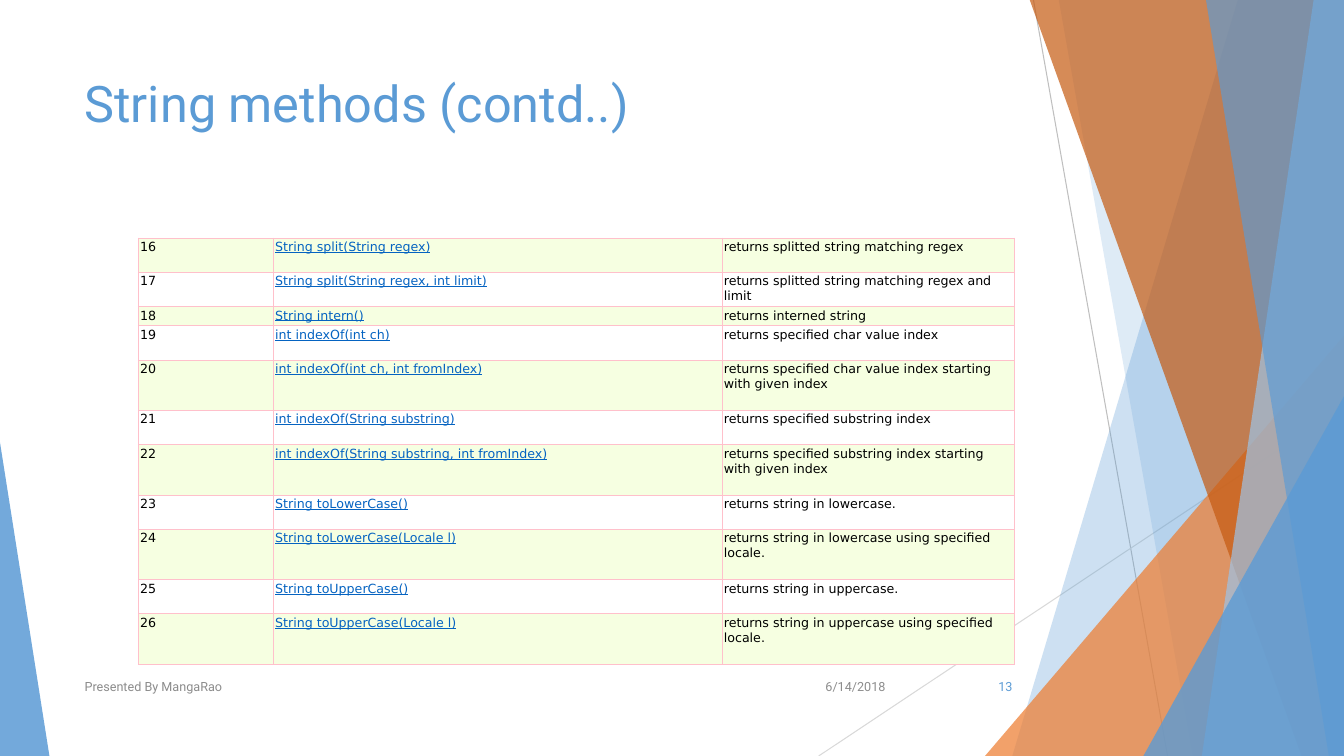
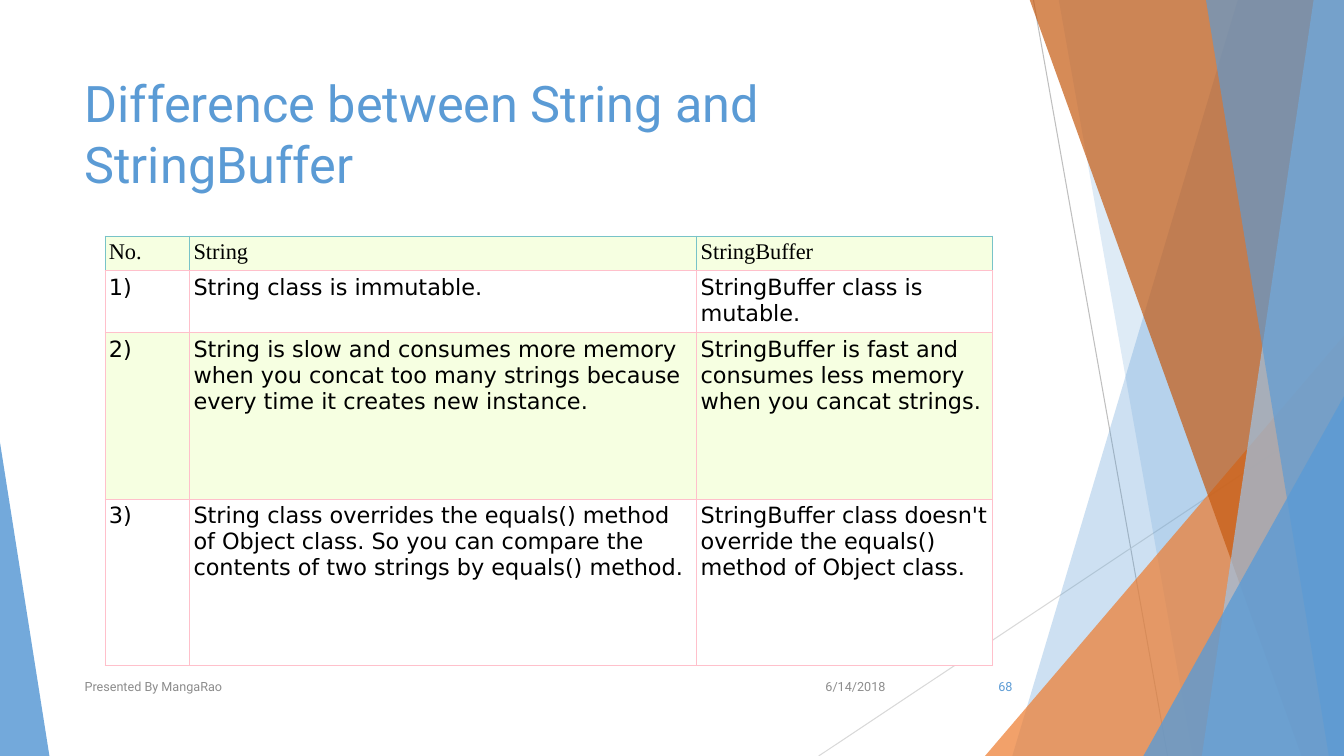
from lxml import etree
from pptx import Presentation
from pptx.dml.color import RGBColor
from pptx.enum.shapes import MSO_CONNECTOR, MSO_SHAPE
from pptx.enum.text import MSO_ANCHOR, PP_ALIGN
from pptx.oxml.ns import qn
from pptx.util import Inches, Pt

WIDTH, HEIGHT = 13.33, 7.5
COLORS = {
    "blue": "5B9BD5", "light blue": "9DC3E6", "orange": "ED7D31", "rust": "C55A11",
    "grey line": "BFBFBF", "pale line": "D9D9D9", "footer": "8C8C8C",
    "black": "000000", "white": "FFFFFF", "link": "0563C1",
    "lime": "F6FFE1", "pink": "FFC0CB", "teal": "78C3C8",
}
HEADING_FONT, BODY_FONT, HEADER_FONT = "Roboto", "DejaVu Sans", "Times New Roman"

LINES = [
    ((10.25, 0), (11.58, HEIGHT), "grey line"),
    ((WIDTH, 4.03), (8.12, HEIGHT), "pale line"),
]
BANDS = [
    ("strip", (12.28, 10.04), "blue", 30),
    ("strip", (10.5, 11.83), "blue", 20),
    ("triangle", (9.77, 3.33, 3.56, 1), "orange", 72),
    ("strip", (10.21, 12.91), "rust", 70),
    ("strip", (13.03, 11.92), "light blue", 70),
    ("strip", (11.96, 13.18), "blue", 65),
    ("triangle", (11.34, 3.93, 1.99, 1), "blue", 80),
    ("triangle", (0, 4.39, 0.49, 0), "blue", 85),
]

SLIDES = [
    {
        "title": "String methods (contd..)",
        "number": "13",
        "place": (1.37, 2.36),
        "columns": [1.34, 4.45, 2.9],
        "heights": [0.34, 0.34, 0.19, 0.34, 0.5, 0.34, 0.5, 0.34, 0.5, 0.34, 0.5],
        "size": 9,
        "margin": 0.02,
        "header": False,
        "link_column": 1,
        "rows": [
            ("16", "String split(String regex)", "returns splitted string matching regex"),
            ("17", "String split(String regex, int limit)",
             "returns splitted string matching regex and limit"),
            ("18", "String intern()", "returns interned string"),
            ("19", "int indexOf(int ch)", "returns specified char value index"),
            ("20", "int indexOf(int ch, int fromIndex)",
             "returns specified char value index starting with given index"),
            ("21", "int indexOf(String substring)", "returns specified substring index"),
            ("22", "int indexOf(String substring, int fromIndex)",
             "returns specified substring index starting with given index"),
            ("23", "String toLowerCase()", "returns string in lowercase."),
            ("24", "String toLowerCase(Locale l)",
             "returns string in lowercase using specified locale."),
            ("25", "String toUpperCase()", "returns string in uppercase."),
            ("26", "String toUpperCase(Locale l)",
             "returns string in uppercase using specified locale."),
        ],
    },
    {
        "title": "Difference between String and StringBuffer",
        "number": "68",
        "place": (1.04, 2.34),
        "columns": [0.84, 5.03, 2.93],
        "heights": [0.34, 0.6, 1.65, 1.65],
        "size": 16,
        "margin": 0.04,
        "header": True,
        "link_column": None,
        "rows": [
            ("No.", "String", "StringBuffer"),
            ("1)", "String class is immutable.", "StringBuffer class is mutable."),
            ("2)", "String is slow and consumes more memory when you concat too many strings "
                   "because every time it creates new instance.",
             "StringBuffer is fast and consumes less memory when you cancat strings."),
            ("3)", "String class overrides the equals() method of Object class. So you can "
                   "compare the contents of two strings by equals() method.",
             "StringBuffer class doesn't override the equals() method of Object class."),
        ],
    },
]


def rgb(name):
    return RGBColor.from_string(COLORS[name])


def add_run(paragraph, text, size, font, color, underline=False):
    run = paragraph.add_run()
    run.text = text
    run.font.size = Pt(size)
    run.font.name = font
    run.font.color.rgb = rgb(color)
    if underline:
        run.font.underline = True


def add_text(slide, box, text, size, color, align=PP_ALIGN.LEFT, anchor=MSO_ANCHOR.MIDDLE):
    frame = slide.shapes.add_textbox(*map(Inches, box)).text_frame
    frame.word_wrap = True
    frame.vertical_anchor = anchor
    paragraph = frame.paragraphs[0]
    paragraph.alignment = align
    add_run(paragraph, text, size, HEADING_FONT, color)


def add_strip(slide, top_x, bottom_x):
    top = Inches(-0.01)
    right, bottom = Inches(WIDTH), Inches(HEIGHT)
    builder = slide.shapes.build_freeform(Inches(top_x), top)
    builder.add_line_segments([(right, top), (right, bottom), (Inches(bottom_x), bottom)])
    return builder.convert_to_shape()


def add_triangle(slide, left, top, width, apex):
    box = map(Inches, (left, top, width, HEIGHT - top))
    shape = slide.shapes.add_shape(MSO_SHAPE.ISOSCELES_TRIANGLE, *box)
    shape.adjustments[0] = apex
    return shape


def add_backdrop(slide):
    for start, end, color in LINES:
        line = slide.shapes.add_connector(MSO_CONNECTOR.STRAIGHT, *map(Inches, start + end))
        line.line.color.rgb = rgb(color)
        line.line.width = Pt(0.75)
        etree.SubElement(line._element.spPr, qn("a:effectLst"))
    builders = {"strip": add_strip, "triangle": add_triangle}
    for kind, geometry, color, opacity in BANDS:
        shape = builders[kind](slide, *geometry)
        shape.shadow.inherit = False
        shape.line.fill.background()
        shape.fill.solid()
        shape.fill.fore_color.rgb = rgb(color)
        color_element = shape._element.spPr.find(qn("a:solidFill"))[0]
        etree.SubElement(color_element, qn("a:alpha"), val=str(opacity * 1000))


def set_borders(cell, side_color, bottom_color):
    properties = cell._tc.get_or_add_tcPr()
    sides = {"lnL": side_color, "lnR": side_color, "lnT": side_color, "lnB": bottom_color}
    for position, (side, color) in enumerate(sides.items()):
        border = etree.Element(qn(f"a:{side}"), w=str(Pt(0.6)))
        fill = etree.SubElement(border, qn("a:solidFill"))
        etree.SubElement(fill, qn("a:srgbClr"), val=COLORS[color])
        properties.insert(position, border)


def add_grid(slide, content):
    rows, columns, heights = content["rows"], content["columns"], content["heights"]
    box = (*content["place"], sum(columns), sum(heights))
    table = slide.shapes.add_table(len(rows), len(columns), *map(Inches, box)).table
    table.first_row = table.horz_banding = False
    for column, width in zip(table.columns, columns):
        column.width = Inches(width)
    for row_index, (row, height) in enumerate(zip(rows, heights)):
        table.rows[row_index].height = Inches(height)
        is_header = content["header"] and row_index == 0
        for column_index, text in enumerate(row):
            cell = table.cell(row_index, column_index)
            cell.margin_left = cell.margin_right = Inches(content["margin"])
            cell.margin_top = cell.margin_bottom = Inches(content["margin"])
            cell.fill.solid()
            cell.fill.fore_color.rgb = rgb("white" if row_index % 2 else "lime")
            set_borders(cell, "teal" if is_header else "pink", "pink")
            is_link = column_index == content["link_column"]
            add_run(cell.text_frame.paragraphs[0], text, content["size"],
                    HEADER_FONT if is_header else BODY_FONT,
                    "link" if is_link else "black", is_link)


def add_slide(presentation, content):
    slide = presentation.slides.add_slide(presentation.slide_layouts[6])
    add_backdrop(slide)
    add_text(slide, (0.74, 0.67, 9.4, 1.44), content["title"], 36, "blue", anchor=MSO_ANCHOR.TOP)
    add_grid(slide, content)
    add_text(slide, (7.88, 6.61, 1, 0.4), "6/14/2018", 9, "footer", PP_ALIGN.RIGHT)
    add_text(slide, (0.74, 6.61, 6.89, 0.4), "Presented By MangaRao", 9, "footer")
    add_text(slide, (9.39, 6.61, 0.75, 0.4), content["number"], 9, "blue", PP_ALIGN.RIGHT)


def main():
    presentation = Presentation()
    presentation.slide_width = Inches(WIDTH)
    presentation.slide_height = Inches(HEIGHT)
    for content in SLIDES:
        add_slide(presentation, content)
    presentation.save("out.pptx")


if __name__ == "__main__":
    main()
